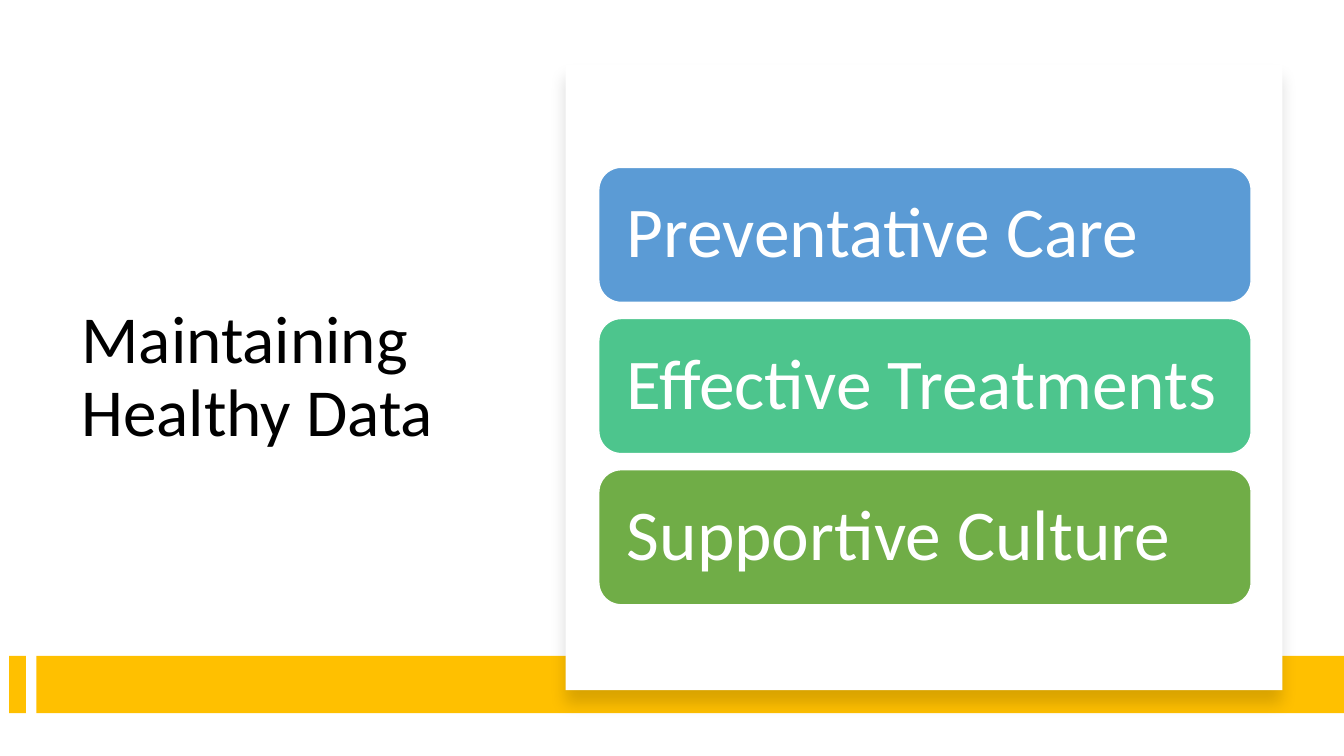
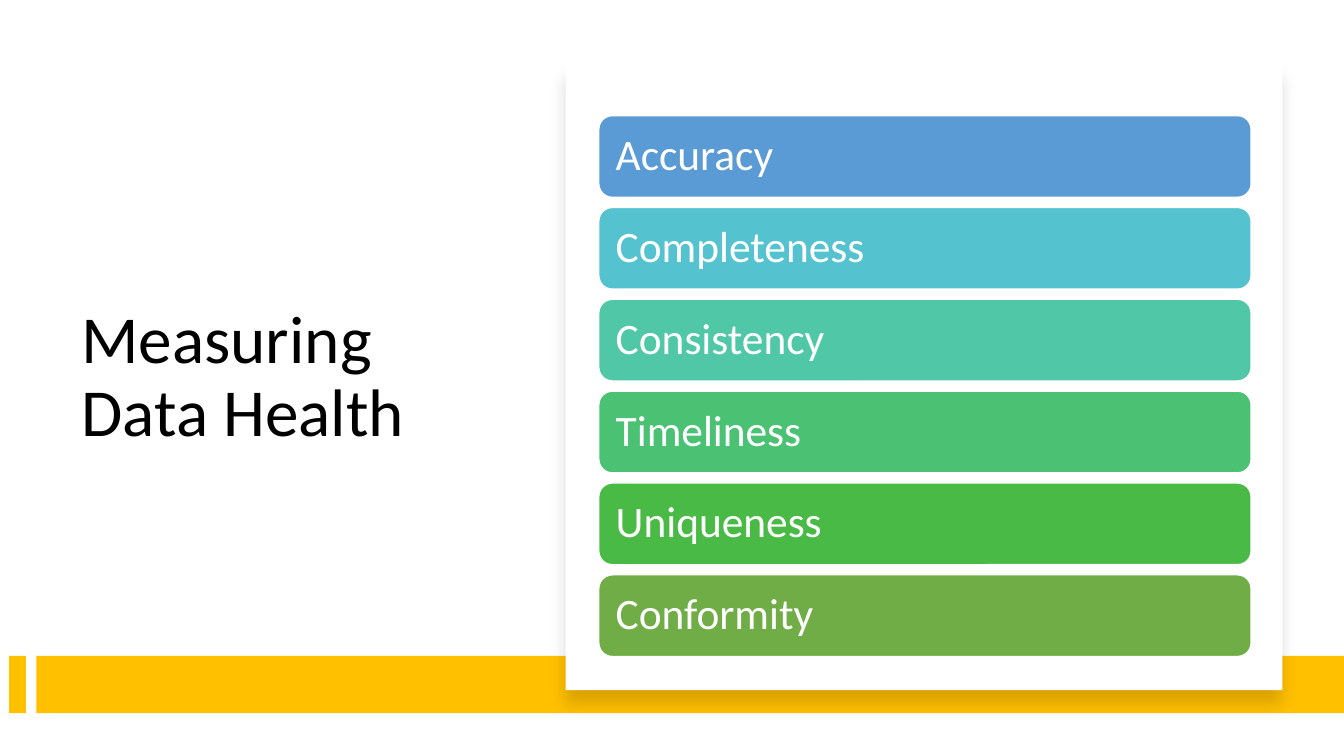
from lxml.etree import SubElement
from pptx import Presentation
from pptx.dml.color import RGBColor
from pptx.enum.shapes import MSO_SHAPE as SHAPE
from pptx.enum.text import MSO_ANCHOR as ANCHOR, MSO_AUTO_SIZE as AUTOSIZE, PP_ALIGN as ALIGN
from pptx.oxml.ns import qn
from pptx.util import Pt

FONT = "Calibri"
BLACK = RGBColor(0x00, 0x00, 0x00)
WHITE = RGBColor(0xFF, 0xFF, 0xFF)
GOLD = RGBColor(0xFF, 0xC0, 0x00)
BLUE = RGBColor(0x5B, 0x9B, 0xD5)
AQUA = RGBColor(0x55, 0xC3, 0xCF)
TEAL = RGBColor(0x50, 0xC8, 0xA7)
MINT = RGBColor(0x4D, 0xC5, 0x8D)
JADE = RGBColor(0x4B, 0xC1, 0x74)
GREEN = RGBColor(0x4A, 0xBA, 0x46)
OLIVE = RGBColor(0x70, 0xAD, 0x47)

SLIDES = [
    {
        "title": "Maintaining Healthy Data",
        "size": 51, "height": 96.5, "gap": 11.5,
        "cards": [
            ("Preventative Care", BLUE),
            ("Effective Treatments", MINT),
            ("Supportive Culture", OLIVE),
        ],
    },
    {
        "title": "Measuring Data Health",
        "size": 31, "height": 58.4, "gap": 7.2,
        "cards": [
            ("Accuracy", BLUE),
            ("Completeness", AQUA),
            ("Consistency", TEAL),
            ("Timeliness", JADE),
            ("Uniqueness", GREEN),
            ("Conformity", OLIVE),
        ],
    },
]

TITLE_BOX = (51, 86.5, 299, 367)
BANDS = [(6.5, 468.5, 12, 41), (26, 468.5, 934, 41)]
PANEL = (404, 46, 512, 447)
CARD_LEFT, CARD_WIDTH, STACK_MIDDLE = 427.7, 466, 275.8


def set_text(sp, text, size, color, margin=None):
    tf = sp.text_frame
    tf.word_wrap = True
    tf.auto_size = AUTOSIZE.NONE
    tf.vertical_anchor = ANCHOR.MIDDLE
    if margin is not None:
        tf.margin_left = tf.margin_right = Pt(margin)
        tf.margin_top = tf.margin_bottom = Pt(margin)
    p = tf.paragraphs[0]
    p.alignment = ALIGN.LEFT
    p.line_spacing = 0.9
    r = p.add_run()
    r.text = text
    r.font.name = FONT
    r.font.size = Pt(size)
    r.font.color.rgb = color


def add_box(s, box, fill, kind=SHAPE.RECTANGLE, line=None):
    sp = s.shapes.add_shape(kind, *map(Pt, box))
    sp.shadow.inherit = False
    sp.fill.solid()
    sp.fill.fore_color.rgb = fill
    if line is None:
        sp.line.fill.background()
    else:
        sp.line.color.rgb = line
        sp.line.width = Pt(1)
    return sp


def add_shadow(sp, blur, distance, opacity):
    effects = sp.element.spPr.find(qn("a:effectLst"))
    shadow = SubElement(effects, qn("a:outerShdw"), blurRad=str(Pt(blur)),
                        dist=str(Pt(distance)), dir="5400000", rotWithShape="0")
    color = SubElement(shadow, qn("a:srgbClr"), val=str(BLACK))
    SubElement(color, qn("a:alpha"), val=str(opacity * 1000))


def add_frame(prs, title):
    s = prs.slides.add_slide(prs.slide_layouts[5])
    sp = s.shapes.title
    sp.left, sp.top, sp.width, sp.height = map(Pt, TITLE_BOX)
    set_text(sp, title, 48, BLACK)
    for band in BANDS:
        add_box(s, band, GOLD)
    add_shadow(add_box(s, PANEL, WHITE), 11, 10, 15)
    return s


def add_cards(s, cards, size, height, gap):
    pitch = height + gap
    top = STACK_MIDDLE - (len(cards) * pitch - gap) / 2
    for i, (text, fill) in enumerate(cards):
        box = (CARD_LEFT, top + i * pitch, CARD_WIDTH, height)
        sp = add_box(s, box, fill, SHAPE.ROUNDED_RECTANGLE, WHITE)
        set_text(sp, text, size, WHITE, margin=0.3 * size)


def main():
    prs = Presentation()
    prs.slide_width, prs.slide_height = Pt(960), Pt(540)
    for item in SLIDES:
        s = add_frame(prs, item["title"])
        add_cards(s, item["cards"], item["size"], item["height"], item["gap"])
    prs.save("out.pptx")


if __name__ == "__main__":
    main()
